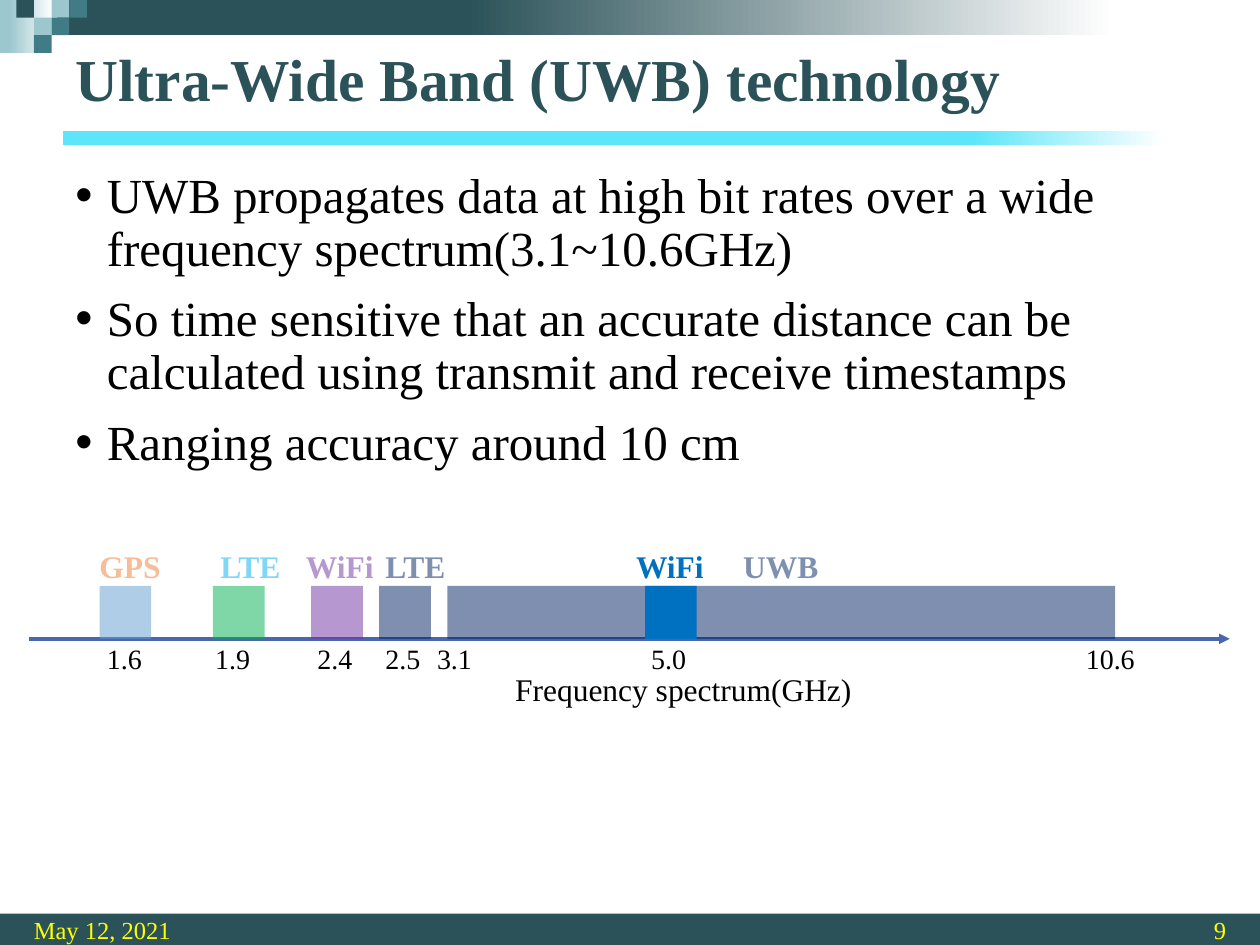
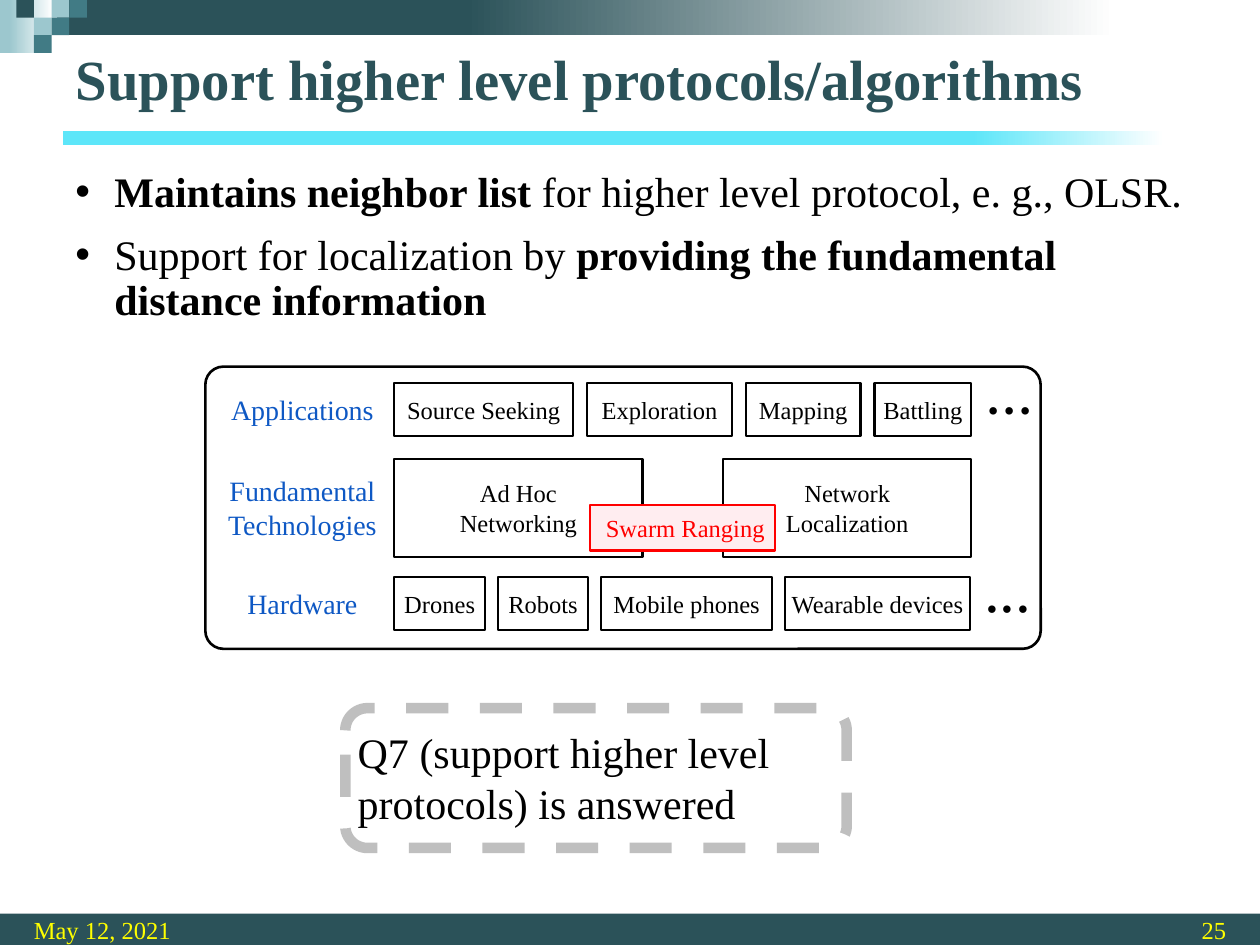
"""Build two slides on ultra-wide band ranging."""
from lxml.etree import SubElement
from pptx import Presentation
from pptx.dml.color import RGBColor
from pptx.enum.dml import MSO_LINE
from pptx.enum.shapes import MSO_CONNECTOR, MSO_SHAPE
from pptx.enum.text import MSO_ANCHOR, MSO_AUTO_SIZE, PP_ALIGN
from pptx.oxml.ns import qn
from pptx.util import Inches, Pt

FONT = "Times New Roman"
DARK, TEAL, PALE = "2B5259", "417B85", "9CC7CE"
BLACK, WHITE, YELLOW, BLUE = "000000", "FFFFFF", "FFFF00", "0E58C4"
LEFT, MID, RIGHT = PP_ALIGN.LEFT, PP_ALIGN.CENTER, PP_ALIGN.RIGHT
RECT, ROUND = MSO_SHAPE.RECTANGLE, MSO_SHAPE.ROUNDED_RECTANGLE
hue = RGBColor.from_string


def draw(slide, spot, fill=None, line=None, width=1.25, kind=RECT):
    """Add a shape; a tuple as fill gives gradient stops."""
    shape = slide.shapes.add_shape(kind, *map(Inches, spot))
    shape.shadow.inherit = False
    if fill is None:
        shape.fill.background()
    elif isinstance(fill, tuple):
        shape.fill.gradient()
        shape.fill.gradient_angle = 0
        for stop, (place, tint) in zip(shape.fill.gradient_stops, fill):
            stop.position = place
            stop.color.rgb = hue(tint)
    else:
        shape.fill.solid()
        shape.fill.fore_color.rgb = hue(fill)
    if line:
        shape.line.color.rgb = hue(line)
        shape.line.width = Pt(width)
    else:
        shape.line.fill.background()
    return shape


def write(shape, lines, size, ink=BLACK, bold=None, align=LEFT,
          anchor=MSO_ANCHOR.TOP, pad=True, dent=0, wrap=True, lead=None):
    """Fill a shape with paragraphs; stars enclose bold parts."""
    frame = shape.text_frame
    frame.auto_size = MSO_AUTO_SIZE.NONE
    frame.word_wrap = wrap
    frame.vertical_anchor = anchor
    frame.margin_left = frame.margin_right = Inches(0.1 if pad else 0)
    frame.margin_top = frame.margin_bottom = Inches(0.05 if pad else 0)
    for n, line in enumerate(lines):
        para = frame.paragraphs[0] if n == 0 else frame.add_paragraph()
        para.alignment = align
        if dent:
            props = para._p.get_or_add_pPr()
            props.set("marL", str(Inches(dent)))
            props.set("indent", str(-Inches(dent)))
            SubElement(props, qn("a:buFont"), typeface="Arial")
            SubElement(props, qn("a:buChar"), char="•")
            para.space_before = Pt(10 if n else 0)
        if lead:
            para.line_spacing = lead
        para.font.name = FONT
        para.font.size = Pt(size)
        para.font.color.rgb = hue(ink)
        para.font.bold = bold
        for k, part in enumerate(line.split("*")):
            if part:
                run = para.add_run()
                run.text = part
                if k % 2:
                    run.font.bold = True


deck = Presentation()
deck.slide_width, deck.slide_height = Inches(10), Inches(7.5)

BANDS = [
    ((0, 7.25, 10, 0.25), DARK),
    ((0.5, 1.04, 9.5, 0.11), ((0.76, "5DE6F9"), (0.92, WHITE))),
    ((0, 0, 0.42, 0.42), ((0.18, PALE), (1, WHITE))),
    ((0.45, 0, 9.55, 0.28), ((0.34, DARK), (0.88, WHITE))),
]
TILES = [(3, 0, PALE), (4, 0, TEAL), (2, 1, PALE),
         (1, 0, DARK), (3, 1, TEAL), (2, 2, TEAL)]
PAGES = [
    ("Ultra-Wide Band (UWB) technology", 34, "9", 28, 0.25, [
        "UWB propagates data at high bit rates over a wide frequency "
        "spectrum(3.1~10.6GHz)",
        "So time sensitive that an accurate distance can be calculated "
        "using transmit and receive timestamps",
        "Ranging accuracy around 10 cm"]),
    ("Support higher level protocols/algorithms", 32.4, "25", 24, 0.31, [
        "*Maintains neighbor list *for higher level protocol, e. g., OLSR.",
        "Support for localization by *providing the fundamental "
        "distance information*"]),
]

for title, size, page, body, dent, lines in PAGES:
    slide = deck.slides.add_slide(deck.slide_layouts[5])
    for spot, fill in BANDS:
        draw(slide, spot, fill)
    for col, row, fill in TILES:
        draw(slide, (0.14 * col - 0.01, 0.14 * row, 0.14, 0.14), fill)
    head = slide.shapes.title
    head.left, head.top = Inches(0.5), Inches(0.31)
    head.width, head.height = Inches(8.71), Inches(0.68)
    write(head, [title], size, DARK, bold=True, anchor=MSO_ANCHOR.MIDDLE,
          lead=0.9)
    box = slide.shapes.add_textbox(*map(Inches, (0.5, 1.31, 9.17, 5.86)))
    write(box, lines, body, dent=dent, lead=0.9)
    for left, text, align in ((0.17, "May 12, 2021", LEFT),
                              (7.5, page, RIGHT)):
        box = slide.shapes.add_textbox(*map(Inches, (left, 7.25, 2.33, 0.25)))
        write(box, [text], 14, YELLOW, align=align, anchor=MSO_ANCHOR.MIDDLE)

first, second = deck.slides

axis = first.shapes.add_connector(
    MSO_CONNECTOR.STRAIGHT, *map(Inches, (0.23, 5.07, 9.76, 5.07)))
axis.line.color.rgb = hue("4A66AC")
axis.line.width = Pt(2)
SubElement(axis.line._get_or_add_ln(), qn("a:tailEnd"), type="triangle")
SubElement(axis._element.spPr, qn("a:effectLst"))

BARS = [
    (0.79, 0.41, "629DD1", 50), (1.69, 0.41, "00B050", 50),
    (2.47, 0.41, "7030A0", 50), (3.01, 0.41, "002060", 50),
    (3.55, 5.3, "002060", 50), (5.12, 0.41, "0070C0", 100),
]
for left, width, fill, alpha in BARS:
    bar = draw(first, (left, 4.65, width, 0.42), fill)
    if alpha < 100:
        tint = bar._element.spPr.find(qn("a:solidFill"))[0]
        SubElement(tint, qn("a:alpha"), val=str(alpha * 1000))

NAMES = [
    ("GPS", 0.69, 0.69, "F6BE98"), ("LTE", 1.65, 0.68, "7FD7F7"),
    ("WiFi", 2.33, 0.74, "B797CF"), ("LTE", 2.96, 0.68, "7F8FAF"),
    ("WiFi", 4.95, 0.74, "0070C0"), ("UWB", 5.8, 0.81, "7F8FAF"),
]
for text, left, width, ink in NAMES:
    box = first.shapes.add_textbox(*map(Inches, (left, 4.29, width, 0.4)))
    write(box, [text], 18, ink, bold=True, wrap=False)

TICKS = [
    ("1.6", 0.75, 0.5), ("1.9", 1.61, 0.54), ("2.4", 2.42, 0.49),
    ("2.5", 2.96, 0.49), ("3.1", 3.37, 0.48), ("5.0", 5.07, 0.49),
    ("10.6", 8.52, 0.66),
]
for text, left, width in TICKS:
    box = first.shapes.add_textbox(*map(Inches, (left, 5.04, width, 0.37)))
    write(box, [text], 16)
box = first.shapes.add_textbox(*map(Inches, (3.99, 5.27, 3.1, 0.4)))
write(box, ["Frequency spectrum(GHz)"], 18)

panel = draw(second, (1.63, 2.91, 6.63, 2.24), None, BLACK, 1.5, ROUND)
panel.adjustments[0] = 0.064

ROWS = [
    (["Applications"], 3.04, 0.42, 0.11, [
        (["Source Seeking"], 1.42), (["Exploration"], 1.15),
        (["Mapping"], 0.91), (["Battling"], 0.77)]),
    (["Fundamental", "Technologies"], 3.64, 0.78, 0.64, [
        (["Ad Hoc", "Networking"], 1.97),
        (["Network", "Localization"], 1.97)]),
    (["Hardware"], 4.58, 0.42, 0.1, [
        (["Drones"], 0.72), (["Robots"], 0.72),
        (["Mobile phones"], 1.36), (["Wearable devices"], 1.47)]),
]
for label, top, height, gap, cells in ROWS:
    tall = 0.27 * len(label)
    spot = (1.71, top + (height - tall) / 2, 1.38, tall)
    box = second.shapes.add_textbox(*map(Inches, spot))
    write(box, label, 16, BLUE, align=MID, pad=False)
    left = 3.13
    for lines, width in cells:
        cell = draw(second, (left, top, width, height), None, BLACK)
        write(cell, lines, 14, align=MID, anchor=MSO_ANCHOR.MIDDLE, pad=False)
        left += width + gap

swarm = draw(second, (4.68, 4.01, 1.47, 0.36), "FFEDF0", "FF0000")
write(swarm, [" Swarm Ranging"], 14, "FF0000", align=MID,
      anchor=MSO_ANCHOR.MIDDLE, pad=False)

for left, top, width, turn in ((7.59, 3.13, 0.61, 180),
                               (7.81, 4.36, 0.39, 0)):
    dots = second.shapes.add_textbox(*map(Inches, (left, top, width, 0.61)))
    dots.rotation = turn
    write(dots, ["..."], 36, pad=False)

frame = draw(second, (2.74, 5.62, 3.98, 1.11), None, "BFBFBF", 6, ROUND)
frame.adjustments[0] = 0.159
frame.line.dash_style = MSO_LINE.DASH
box = second.shapes.add_textbox(*map(Inches, (2.74, 5.72, 3.98, 0.91)))
write(box, ["Q7 (support higher level protocols) is answered"], 24)

deck.save("out.pptx")
